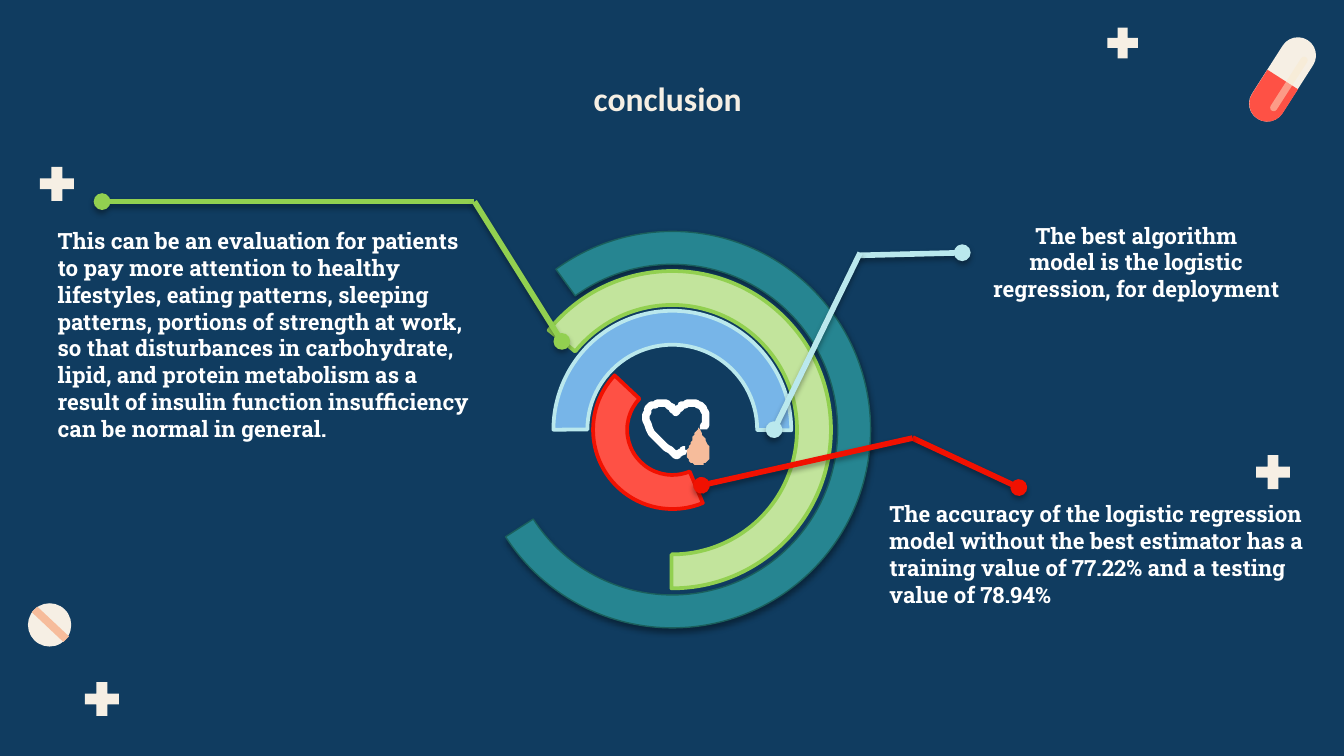
import pptx
import pptx.dml.color
import pptx.enum.shapes
import pptx.enum.text
import pptx.oxml
import pptx.oxml.ns
import pptx.util

Pt = pptx.util.Pt
color = pptx.dml.color.RGBColor.from_string
qn = pptx.oxml.ns.qn
Shape = pptx.enum.shapes.MSO_SHAPE
Align = pptx.enum.text.PP_ALIGN
NAMESPACE = pptx.oxml.ns.nsdecls("a")

CREAM, PEACH, RED, WHITE = "F6EFE4", "F6BC9B", "FE5145", "FFFFFF"
TEAL, GREEN, ICE, SCARLET = "268591", "92D050", "BAE8ED", "F11101"


def write(frame, text, size=12, font="Roboto Slab", hex_color=WHITE, align=Align.LEFT):
    """Fill a text frame with bold text, one paragraph per line."""
    frame.word_wrap = True
    frame.text = text
    for paragraph in frame.paragraphs:
        paragraph.alignment = align
        paragraph.font.size = Pt(size)
        paragraph.font.name = font
        paragraph.font.bold = True
        paragraph.font.color.rgb = color(hex_color)


def curve_outline(start, curves, close, steps=10):
    """Build a freeform through cubic curves, each given as x1, y1, x2, y2, x, y."""
    points = []
    x0, y0 = start
    for x1, y1, x2, y2, x3, y3 in curves:
        for step in range(1, steps + 1):
            t = step / steps
            a, b, c, d = (1 - t) ** 3, 3 * t * (1 - t) ** 2, 3 * t * t * (1 - t), t ** 3
            points.append((a * x0 + b * x1 + c * x2 + d * x3,
                           a * y0 + b * y1 + c * y2 + d * y3))
        x0, y0 = x3, y3
    builder = shapes.build_freeform(*start, scale=Pt(1))
    builder.add_line_segments(points, close=close)
    return builder.convert_to_shape()


presentation = pptx.Presentation()
presentation.slide_width, presentation.slide_height = Pt(720), Pt(405)
slide = presentation.slides.add_slide(presentation.slide_layouts[5])
shapes = slide.shapes
slide.background.fill.solid()
slide.background.fill.fore_color.rgb = color("103C60")

# Title
title = shapes.title
title.left, title.top, title.width, title.height = Pt(54), Pt(34.5), Pt(607.5), Pt(45.5)
frame = title.text_frame
frame.margin_left = frame.margin_right = frame.margin_top = frame.margin_bottom = Pt(7.2)
frame.vertical_anchor = pptx.enum.text.MSO_ANCHOR.TOP
frame.auto_size = pptx.enum.text.MSO_AUTO_SIZE.NONE
write(frame, "conclusion", size=18, font="Calibri", hex_color=CREAM, align=Align.CENTER)

# Plus signs, tablet and capsule: preset, centre x, centre y, width, height, rotation, colour, adjustment
decorations = [
    (Shape.CROSS, 601.4, 23, 16.4, 16.4, 0, CREAM, 0.34),
    (Shape.CROSS, 682, 253, 18.2, 18.2, 0, CREAM, 0.34),
    (Shape.CROSS, 30.5, 98.5, 18.2, 18.2, 0, CREAM, 0.34),
    (Shape.CROSS, 54.6, 374.5, 18.2, 18.2, 0, CREAM, 0.34),
    (Shape.OVAL, 26.6, 334.8, 23.2, 23.2, 0, CREAM, None),
    (Shape.ROUNDED_RECTANGLE, 687.1, 42.6, 19.4, 50, 32.6, CREAM, 0.5),
    (Shape.ROUND_2_SAME_RECTANGLE, 680.4, 53.1, 19.4, 25, 212.6, RED, 0.5),
    (Shape.ROUNDED_RECTANGLE, 690.5, 45, 3.8, 34, 32.6, "FAE9CD", 0.5),
]
for preset, x, y, width, height, rotation, fill, adjustment in decorations:
    shape = shapes.add_shape(preset, Pt(x - width / 2), Pt(y - height / 2), Pt(width), Pt(height))
    shape.shadow.inherit = False
    shape.rotation = rotation
    shape.fill.solid()
    shape.fill.fore_color.rgb = color(fill)
    shape.line.fill.background()
    if adjustment is not None:
        shape.adjustments[0] = adjustment
# The last one is the capsule's translucent highlight
shape.element.spPr.find(".//" + qn("a:srgbClr")).append(
    pptx.oxml.parse_xml(f'<a:alpha {NAMESPACE} val="49000"/>'))

builder = shapes.build_freeform(20.2, 325.4, scale=Pt(1))
builder.add_line_segments([(36.7, 340.6), (35.3, 342.7), (33.8, 344.2), (17.3, 328.3), (18, 326.9)])
stripe = builder.convert_to_shape()

# Concentric arcs: diameter, adjustments, fill, line, line width
arcs = [
    (127.4, (108, 0.185, 0.143), "77B5E8", ICE, 2),
    (212.4, (140.413, 88.366, 0.083), TEAL, "1A5F5C", 0.75),
    (170, (131.299, 54.198, 0.107), "C2E49C", GREEN, 2),
    (85, (40.48, 133.936, 0.215), RED, SCARLET, 2),
]
shadows = []
for diameter, adjustments, fill, line, line_width in arcs:
    arc = shapes.add_shape(Shape.BLOCK_ARC, Pt(360.2 - diameter / 2), Pt(230.2 - diameter / 2),
                           Pt(diameter), Pt(diameter))
    for index, value in enumerate(adjustments):
        arc.adjustments[index] = value
    arc.shadow.inherit = False
    arc.fill.solid()
    arc.fill.fore_color.rgb = color(fill)
    arc.line.color.rgb = color(line)
    arc.line.width = Pt(line_width)
    if fill == TEAL:
        shadows.append((arc.element.spPr.find(qn("a:effectLst")), 1.6, 38))

# Callout lines: each runs from a bend to a dot
callouts = [
    ((460.1, 136.8), (515.5, 135.4), ICE),
    ((254.2, 108), (54.7, 108), GREEN),
    ((488.9, 234.7), (545.8, 261.2), SCARLET),
    ((254.2, 108), (301, 182.9), GREEN),
    ((460.8, 135.4), (414.7, 230.2), ICE),
    ((488.9, 234.7), (375.8, 260), SCARLET),
]
for bend, dot, line in callouts:
    connector = shapes.add_connector(pptx.enum.shapes.MSO_CONNECTOR.STRAIGHT,
                                     *map(Pt, bend + dot))
    connector.line.color.rgb = color(line)
    connector.line.width = Pt(3)
    properties = connector._element.spPr
    properties.find(qn("a:ln")).append(
        pptx.oxml.parse_xml(f'<a:tailEnd {NAMESPACE} type="oval"/>'))
    effects = pptx.oxml.parse_xml(f"<a:effectLst {NAMESPACE}/>")
    properties.append(effects)
    shadows.append((effects, 1.8, 35))

for effects, distance, opacity in shadows:
    effects.append(pptx.oxml.parse_xml(
        f'<a:outerShdw {NAMESPACE} blurRad="{Pt(3.1)}" dist="{Pt(distance)}" dir="5400000">'
        f'<a:srgbClr val="000000"><a:alpha val="{opacity * 1000}"/></a:srgbClr></a:outerShdw>'))

# Heart with a drop
heart = curve_outline((366.8, 240.8), [
    (365.4, 241.9, 363.9, 243, 362.5, 244.1),
    (356.4, 239.8, 347.8, 233.3, 346.3, 225),
    (344.9, 219.6, 349.9, 215.6, 355, 215.7),
    (358.6, 216, 360, 218.9, 362.5, 221),
    (363.6, 218.2, 366.5, 216, 370.1, 216),
    (375.1, 215.3, 378.4, 219.6, 378, 223.2),
    (378.4, 225.4, 378, 227.5, 376.9, 229.7)], close=False)
heart.shadow.inherit = False
heart.fill.background()
heart.line.color.rgb = color(WHITE)
heart.line.width = Pt(4)

drop = curve_outline((374.4, 229), [
    (376.6, 233.3, 379.4, 236.9, 380.2, 241.9),
    (380.9, 245.5, 378.7, 248.4, 375.8, 249.1),
    (372.2, 249.8, 368.6, 247.7, 367.9, 244.1),
    (367.6, 243.4, 367.9, 241.9, 368.6, 240.5),
    (370.1, 236.2, 372.2, 232.6, 374.4, 229)], close=True)
for shape in (stripe, drop):
    shape.shadow.inherit = False
    shape.fill.solid()
    shape.fill.fore_color.rgb = color(PEACH)
    shape.line.fill.background()

# Findings: left, top, width, height, alignment, text
findings = [
    (515.5, 115.2, 186.5, 51, Align.CENTER,
     "The best algorithm\nmodel is the logistic regression, for deployment"),
    (469.4, 264.5, 253.4, 65.5, Align.LEFT,
     "The accuracy of the logistic regression model without the best estimator has a "
     "training value of 77.22% and a testing value of 78.94%"),
    (23.8, 118.1, 242, 138, Align.LEFT,
     "This can be an evaluation for patients to pay more attention to healthy lifestyles, "
     "eating patterns, sleeping patterns, portions of strength at work, so that disturbances "
     "in carbohydrate, lipid, and protein metabolism as a result of insulin function "
     "insufficiency can be normal in general."),
]
for left, top, width, height, align, text in findings:
    box = shapes.add_textbox(Pt(left), Pt(top), Pt(width), Pt(height))
    write(box.text_frame, text, align=align)

presentation.save("out.pptx")
